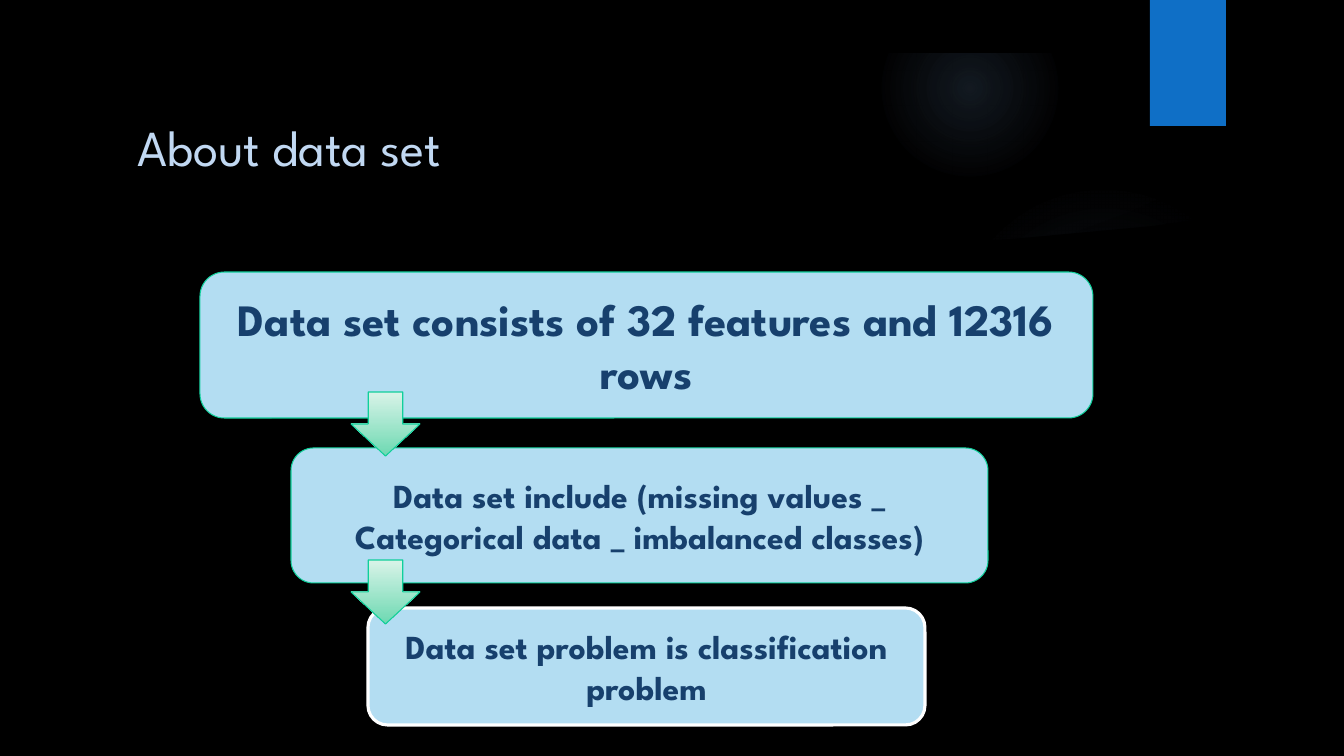
from pptx import Presentation
from pptx.dml.color import RGBColor
from pptx.enum.shapes import MSO_SHAPE
from pptx.enum.text import MSO_ANCHOR, PP_ALIGN
from pptx.oxml import parse_xml
from pptx.oxml.ns import nsdecls, qn
from pptx.util import Emu, Pt

RECTANGLE, ROUNDED = MSO_SHAPE.RECTANGLE, MSO_SHAPE.ROUNDED_RECTANGLE
OVAL, FRAME, DOWN_ARROW = MSO_SHAPE.OVAL, MSO_SHAPE.FRAME, MSO_SHAPE.DOWN_ARROW
MIDDLE, LEFT, CENTER = MSO_ANCHOR.MIDDLE, PP_ALIGN.LEFT, PP_ALIGN.CENTER

EMU_PER_PX = 914400 / 100.8
TITLE_ONLY_LAYOUT = 5
FONT = "League Spartan"
BLACK, WHITE, GREEN = "000000", "FFFFFF", "10CF9B"
ACCENT, PALE_BLUE, NAVY, TITLE_BLUE = "0F6FC6", "B3DDF2", "17406D", "C1D8F2"
GLOW = "82B1E5"

# Outlines of the dark backdrop, in px
SWOOSH = [(941, 252), (1040, 250), (1180, 235), (1299, 216), (1293, 167),
          (1223, 190), (1130, 214), (1037, 231), (937, 245)]
PANEL = [(50, 206), (50, 706), (1294, 706), (1294, 206), (1153, 226),
         (1012, 239), (871, 246), (740, 250), (612, 249), (492, 245),
         (363, 238), (251, 229), (136, 217)]


def px(length):
    return Emu(round(length * EMU_PER_PX))


def color(value):
    return RGBColor.from_string(value)


def set_line(shape, line, width=0.75):
    if line is None:
        shape.line.fill.background()
    else:
        shape.line.color.rgb = color(line)
        shape.line.width = Pt(width)


def add_shape(slide, kind, box, fill=None, line=None, width=0.75):
    shape = slide.shapes.add_shape(kind, *map(px, box))
    shape.shadow.inherit = False
    if fill:
        shape.fill.solid()
        shape.fill.fore_color.rgb = color(fill)
    set_line(shape, line, width)
    return shape


def set_gradient(shape, stops, direction):
    """Fill with (position %, colour, opacity %) stops."""
    stop_xml = "".join(
        f'<a:gs pos="{position * 1000}"><a:srgbClr val="{value}">'
        f'<a:alpha val="{opacity * 1000}"/></a:srgbClr></a:gs>'
        for position, value, opacity in stops)
    gradient = parse_xml(f'<a:gradFill {nsdecls("a")} rotWithShape="1">'
                         f'<a:gsLst>{stop_xml}</a:gsLst>{direction}</a:gradFill>')
    shape._element.spPr.find(qn("a:prstGeom")).addnext(gradient)


def add_glow(slide, box, center, middle, edge):
    glow = add_shape(slide, OVAL, box)
    stops = [(0, GLOW, center), (36, GLOW, middle), (edge, GLOW, 0)]
    set_gradient(glow, stops, '<a:path path="circle"><a:fillToRect l="50000" '
                              't="50000" r="50000" b="50000"/></a:path>')


def add_outline(slide, points, opacity=100, rotation=0):
    builder = slide.shapes.build_freeform(*points[0], scale=EMU_PER_PX)
    builder.add_line_segments(points[1:], close=True)
    shape = builder.convert_to_shape()
    shape.shadow.inherit = False
    shape.fill.solid()
    shape.fill.fore_color.rgb = color(BLACK)
    fill_color = shape._element.spPr.find(qn("a:solidFill"))[0]
    fill_color.append(parse_xml(
        f'<a:alpha {nsdecls("a")} val="{opacity * 1000}"/>'))
    set_line(shape, None)
    shape.rotation = rotation


def write_text(shape, text, size, value, alignment, bold=False):
    frame = shape.text_frame
    frame.word_wrap = True
    frame.vertical_anchor = MIDDLE
    paragraph = frame.paragraphs[0]
    paragraph.alignment = alignment
    run = paragraph.add_run()
    run.text = text
    run.font.name = FONT
    run.font.size = Pt(size)
    run.font.bold = bold
    run.font.color.rgb = color(value)


def add_backdrop(slide):
    slide.background.fill.solid()
    slide.background.fill.fore_color.rgb = color(BLACK)
    add_glow(slide, (949, 184, 310, 310), 7, 6, 69)
    add_glow(slide, (882, 0, 176, 176), 14, 7, 73)
    add_outline(slide, SWOOSH, opacity=20, rotation=350.2)
    add_outline(slide, PANEL)
    border = add_shape(slide, FRAME, (0, 0, 1344, 756), BLACK)
    border.adjustments[0] = 0.07
    add_shape(slide, RECTANGLE, (1150, 0, 76, 126), ACCENT)


def add_title(slide, text):
    title = slide.shapes.title
    title.left, title.top, title.width, title.height = map(px, (127, 107, 966, 78))
    write_text(title, text, 36, TITLE_BLUE, LEFT)
    slide.shapes._spTree.append(title._element)  # in front of the backdrop


def add_step(slide, box, text, size, line=GREEN, width=0.75):
    step = add_shape(slide, ROUNDED, box, PALE_BLUE, line, width)
    write_text(step, text, size, NAVY, CENTER, bold=True)


def add_arrow(slide, top):
    arrow = add_shape(slide, DOWN_ARROW, (351, top, 69, 64), line=GREEN)
    set_gradient(arrow, [(0, "D9F3E8", 100), (100, "6DD9B2", 100)],
                 '<a:lin ang="5400000" scaled="0"/>')


def main():
    presentation = Presentation()
    presentation.slide_width, presentation.slide_height = px(1344), px(756)
    slide = presentation.slides.add_slide(
        presentation.slide_layouts[TITLE_ONLY_LAYOUT])

    add_backdrop(slide)
    add_title(slide, "About data set")

    # Funnel of facts
    add_step(slide, (200, 272, 893, 146),
             "Data set consists of 32 features and 12316 rows", 32)
    add_step(slide, (291, 448, 697, 135),
             "Data set include (missing values _ Categorical data _ "
             "imbalanced classes)", 24)
    add_step(slide, (368, 608, 557, 117),
             "Data set problem is classification problem", 24, WHITE, 2.25)

    # Arrows bridge the gaps and end above the text of the next step
    for top in (392, 560):
        add_arrow(slide, top)

    presentation.save("out.pptx")


if __name__ == "__main__":
    main()
